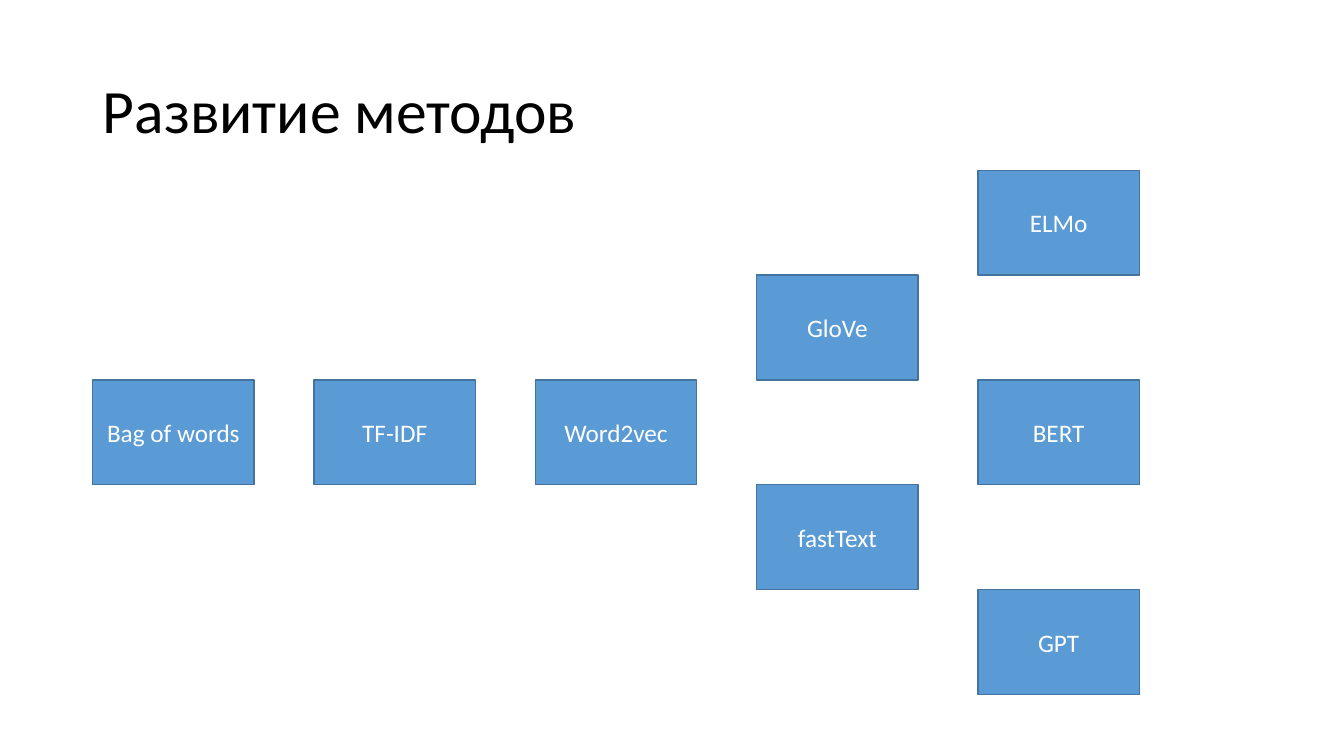
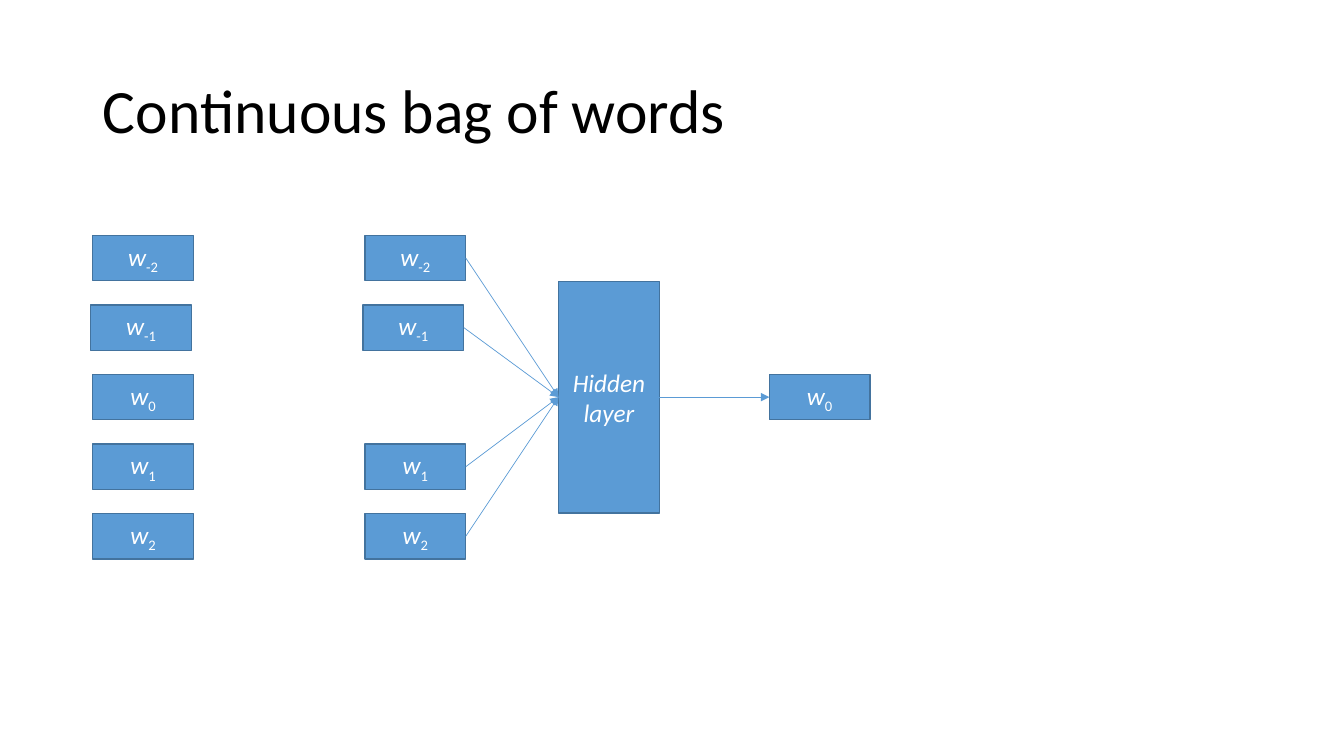
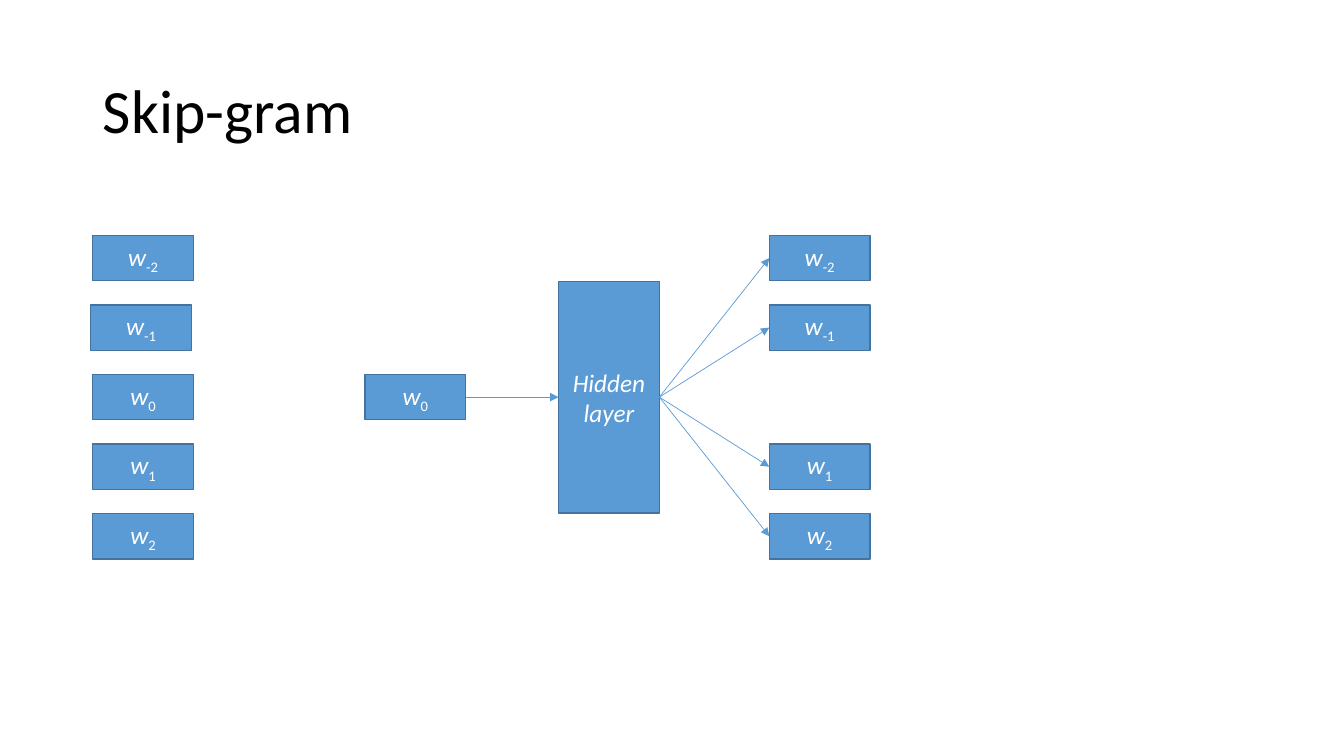
import pptx
import pptx.util
import pptx.dml.color
import pptx.enum.shapes
import pptx.enum.text
import pptx.oxml
import pptx.oxml.ns

Inches = pptx.util.Inches
Align = pptx.enum.text.PP_ALIGN
Middle = pptx.enum.text.MSO_ANCHOR.MIDDLE

# Content: each method with its column and its row from the middle
METHODS = [
    ("Bag of words", 0, 0), ("TF-IDF", 1, 0), ("Word2vec", 2, 0),
    ("GloVe", 3, -1), ("fastText", 3, 1),
    ("BERT", 4, 0), ("ELMo", 4, -2), ("GPT", 4, 2),
]
WORDS = [-2, -1, 0, 1, 2]
AROUND = [-2, -1, 1, 2]
NETS = [
    {"title": "Continuous bag of words", "input": AROUND, "output": [0]},
    {"title": "Skip-gram", "input": [0], "output": AROUND},
]

# Shared style
FONT = "Calibri"
BLUE, EDGE, WHITE, BLACK = "5B9BD5", "43739E", "FFFFFF", "000000"
LEFT = 0.92

# Method grid
LAST, CARD_W, CARD_H, CARD_TOP = 9.7, 1.6, 1.04, 3.77
COL_STEP = (LAST - LEFT) / 4

# Network columns
IN_X, HID_X, OUT_X = 3.62, 5.54, 7.63
WORD_W, WORD_H, HID_H = 1, 0.45, 2.3
MID, ROW_STEP, NUDGE = 3.94, 0.69, 0.02


def color(code):
    return pptx.dml.color.RGBColor.from_string(code)


def write(shape, text, sub="", size=18, ink=WHITE, italic=False,
          align=Align.CENTER, space=None):
    frame = shape.text_frame
    frame.word_wrap = True
    frame.vertical_anchor = Middle
    para = frame.paragraphs[0]
    para.alignment = align
    para.line_spacing = space
    for part, slant, base in ((text, italic, 0), (sub, False, -25000)):
        if not part:
            continue
        run = para.add_run()
        run.text = part
        run.font.name = FONT
        run.font.size = pptx.util.Pt(size)
        run.font.italic = slant
        run.font.color.rgb = color(ink)
        if base:
            run._r.get_or_add_rPr().set("baseline", str(base))


def start(deck, title):
    slide = deck.slides.add_slide(deck.slide_layouts[5])
    head = slide.shapes.title
    head.left, head.top = Inches(LEFT), Inches(0.4)
    head.width, head.height = Inches(11.5), Inches(1.45)
    write(head, title, size=44, ink=BLACK, align=Align.LEFT, space=0.9)
    return slide


def box(slide, x, y, w, h, text, **style):
    shape = slide.shapes.add_shape(
        pptx.enum.shapes.MSO_SHAPE.RECTANGLE,
        Inches(x), Inches(y), Inches(w), Inches(h))
    shape.shadow.inherit = False
    shape.fill.solid()
    shape.fill.fore_color.rgb = color(BLUE)
    shape.line.color.rgb = color(EDGE)
    shape.line.width = pptx.util.Pt(1)
    write(shape, text, **style)
    return shape


def arrow(slide, source, target):
    line = slide.shapes.add_connector(
        pptx.enum.shapes.MSO_CONNECTOR.STRAIGHT, 0, 0, 0, 0)
    line.begin_connect(source, 3)
    line.end_connect(target, 1)
    line.line.color.rgb = color(BLUE)
    line.line.width = pptx.util.Pt(0.5)
    tip = pptx.oxml.parse_xml(
        '<a:tailEnd %s type="triangle"/>' % pptx.oxml.ns.nsdecls("a"))
    line.line._get_or_add_ln().append(tip)
    flat = pptx.oxml.parse_xml(
        "<a:effectLst %s/>" % pptx.oxml.ns.nsdecls("a"))
    line._element.spPr.append(flat)


def column(slide, x, words):
    # The -1 word sits slightly left, except in the output column
    return [box(slide, x - (NUDGE if n == -1 and x < OUT_X else 0),
                MID + n * ROW_STEP - WORD_H / 2, WORD_W, WORD_H,
                "w", sub=str(n), italic=True)
            for n in words]


def methods(deck):
    slide = start(deck, "Развитие методов")
    for name, col, row in METHODS:
        box(slide, LEFT + col * COL_STEP, CARD_TOP + row * CARD_H,
            CARD_W, CARD_H, name)


def network(deck, net):
    slide = start(deck, net["title"])
    column(slide, LEFT, WORDS)
    given = column(slide, IN_X, net["input"])
    found = column(slide, OUT_X, net["output"])
    hidden = box(slide, HID_X, MID - HID_H / 2, WORD_W, HID_H,
                 "Hidden layer", italic=True)
    for word in given:
        arrow(slide, word, hidden)
    for word in found:
        arrow(slide, hidden, word)


def main():
    deck = pptx.Presentation()
    deck.slide_width, deck.slide_height = Inches(13.33), Inches(7.5)
    methods(deck)
    for net in NETS:
        network(deck, net)
    deck.save("out.pptx")


if __name__ == "__main__":
    main()
